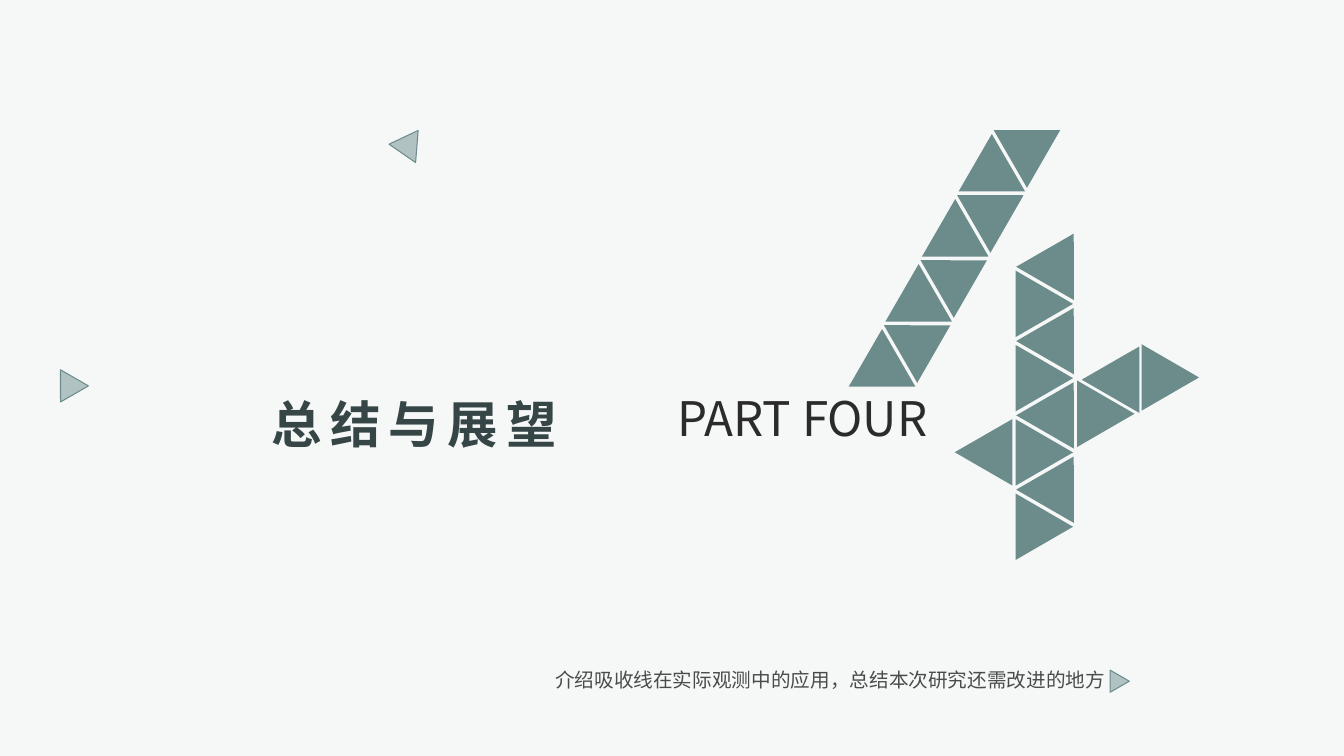
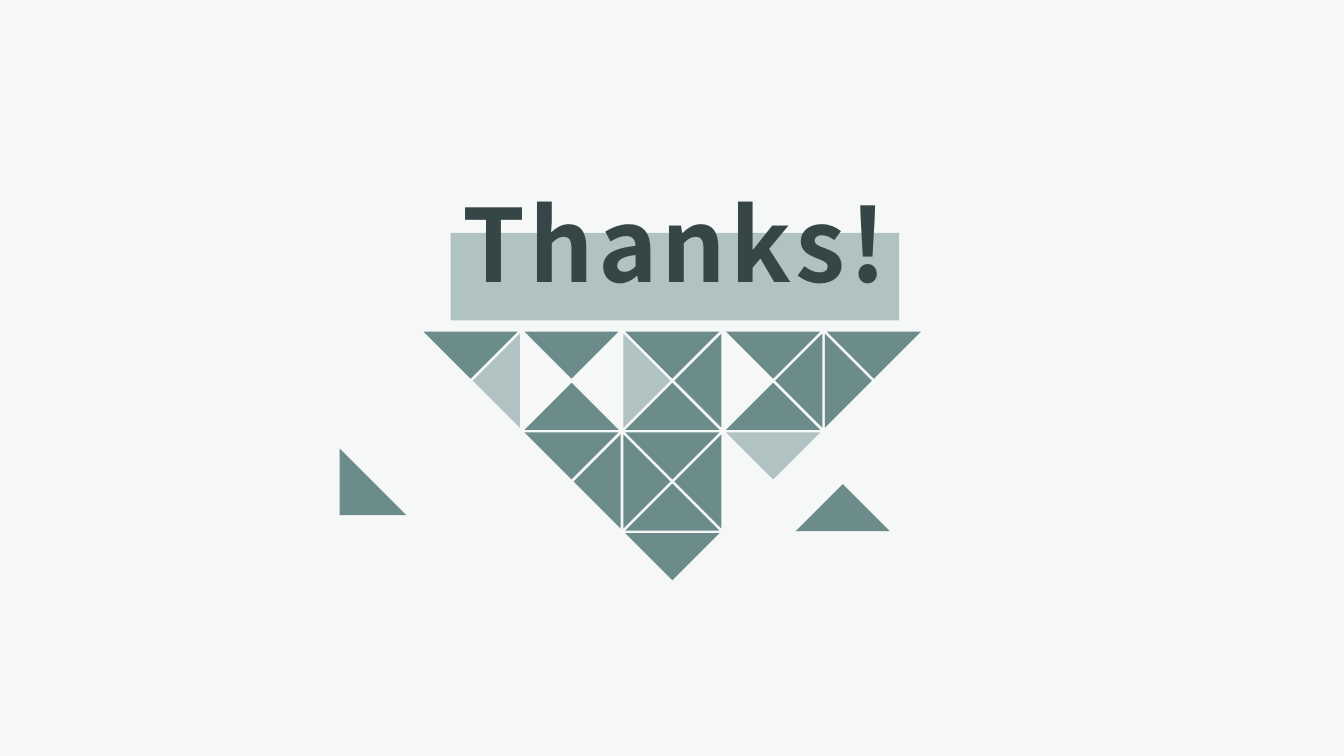
"""Build the closing section and thanks slides from triangle patterns."""
from lxml.etree import SubElement as Sub
from pptx import Presentation
from pptx.dml.color import RGBColor as Rgb
from pptx.enum.shapes import MSO_SHAPE as Kind
from pptx.enum.text import MSO_ANCHOR as Anchor, MSO_AUTO_SIZE as Auto, PP_ALIGN as Align
from pptx.oxml.ns import qn
from pptx.util import Inches, Pt

CELL = Inches(0.1)
COLS, ROWS = 133.33, 75
FACE = "Noto Sans CJK SC"
HUES = {"back": "F6F8F8", "teal": "6C8B8B", "pale": "B1C2C2",
        "dark": "364545", "ink": "2B2B2B", "gray": "4B4B4B"}
HEAD = {"size": Pt(36), "bold": True}


class Deck:
    def __init__(self):
        self.file = Presentation()
        self.file.slide_width = round(COLS * CELL)
        self.file.slide_height = ROWS * CELL
        self.paint(self.file.slide_master.background.fill, "back")
        self.page = None

    def paint(self, fill, hue):
        fill.solid()
        fill.fore_color.rgb = Rgb.from_string(HUES[hue])

    def start(self):
        self.page = self.file.slides.add_slide(self.file.slide_layouts[5])

    def place(self, box):
        return [round(n * CELL) for n in box]

    def shape(self, kind, box, turn=0, hue="teal", edge=None):
        item = self.page.shapes.add_shape(kind, *self.place(box))
        item.shadow.inherit = False
        item.rotation = turn
        self.paint(item.fill, hue)
        if edge:
            self.paint(item.line.fill, edge)
            item.line.width = Pt(0.75)
        else:
            item.line.fill.background()

    def words(self, item, text, form, hue, align, space=0, lines=1, wrap=True):
        frame = item.text_frame
        look = {"auto_size": Auto.NONE, "word_wrap": wrap,
                "vertical_anchor": Anchor.MIDDLE}
        para = frame.paragraphs[0]
        run = para.add_run()
        run.text = text
        flow = {"alignment": align, "line_spacing": lines}
        for part, style in ((frame, look), (para, flow),
                            (run.font, {"name": FACE, **form})):
            for name, value in style.items():
                setattr(part, name, value)
        run.font.color.rgb = Rgb.from_string(HUES[hue])
        props = run._r.get_or_add_rPr()
        Sub(props, qn("a:ea"), typeface=FACE)
        if space:
            props.set("spc", str(space * 100))

    def title(self, text, box, space, wrap=True, **more):
        item = self.page.shapes.title
        item.left, item.top, item.width, item.height = self.place(box)
        self.page.shapes._spTree.append(item._element)
        self.words(item, text, {**HEAD, **more}, "dark", Align.CENTER, space, wrap=wrap)

    def label(self, text, box, size, hue, align=Align.LEFT, lines=1):
        item = self.page.shapes.add_textbox(*self.place(box))
        self.words(item, text, {"size": Pt(size)}, hue, align, lines=lines)


def part(deck):
    deck.start()
    wide, high = 6.6, 5.7
    tiles = []
    for step in range(4):
        left, top = -3.63 * step, 6.45 * step
        tiles += [(95.1 + left, 13.3 + top, 0), (99.4 + left, 11.5 + top, 60)]
        drop = 7.37 * step
        tiles += [(101.8, 22.8 + drop, 30), (100.3, 27.3 + drop, 90)]
    tiles += [(95.7, 41.2, 30), (108.3, 34, 30), (106.4, 38.2, 90), (112.8, 34.6, 90)]
    for left, top, turn in tiles:
        deck.shape(Kind.ISOSCELES_TRIANGLE, (left, top, wide, high), turn)
    for left, top, size, turn in ((39.1, 12.7, 3.2, 34.7), (5.1, 37.3, 3.2, 210),
                                  (109.5, 66.9, 2.2, 210)):
        deck.shape(Kind.ISOSCELES_TRIANGLE, (left, top, size, size * high / wide),
                   turn, "pale", "teal")
    deck.label("PART FOUR", (64.9, 38.7, 29.4, 6.2), 34, "ink", Align.CENTER, 0.9)
    deck.label("介绍吸收线在实际观测中的应用，总结本次研究还需改进的地方",
               (54.1, 65.7, 58.6, 3.4), 14, "gray")
    deck.title("总结与展望", (25.5, 38.5, 31.2, 7.1), 6, wrap=False)


def thanks(deck):
    deck.start()
    side, pitch, half = 6.6, 10, 4.87
    ways = {"down": (0, 0, 315), "left": (half, half, 45),
            "right": (-half, half, 225), "up": (0, 2 * half, 135)}
    cells = {(0, 0): "down left", (1, 0): "down up", (2, 0): "down left right up",
             (3, 0): "down left up", (4, 0): "down right", (1, 1): "down left",
             (2, 1): "down left right up", (3, 1): "down", (2, 2): "down"}
    pale = {(0, 0, "left"), (2, 0, "right"), (3, 1, "down")}
    for (col, row), names in cells.items():
        for name in names.split():
            over, down, turn = ways[name]
            box = (43.4 + col * pitch + over, 29.6 + row * pitch + down, side, side)
            hue = "pale" if (col, row, name) in pale else "teal"
            deck.shape(Kind.RIGHT_TRIANGLE, box, turn, hue)
    for left, top, turn in ((33.7, 44.5, 0), (80.3, 49.4, 135)):
        deck.shape(Kind.RIGHT_TRIANGLE, (left, top, side, side), turn)
    deck.shape(Kind.RECTANGLE, (44.7, 23.1, 44.5, 8.7), hue="pale")
    deck.title("Thanks!", (38.5, 17.5, 56.9, 13.1), 3, size=Pt(72))


def main():
    deck = Deck()
    part(deck)
    thanks(deck)
    deck.file.save("out.pptx")


if __name__ == "__main__":
    main()
